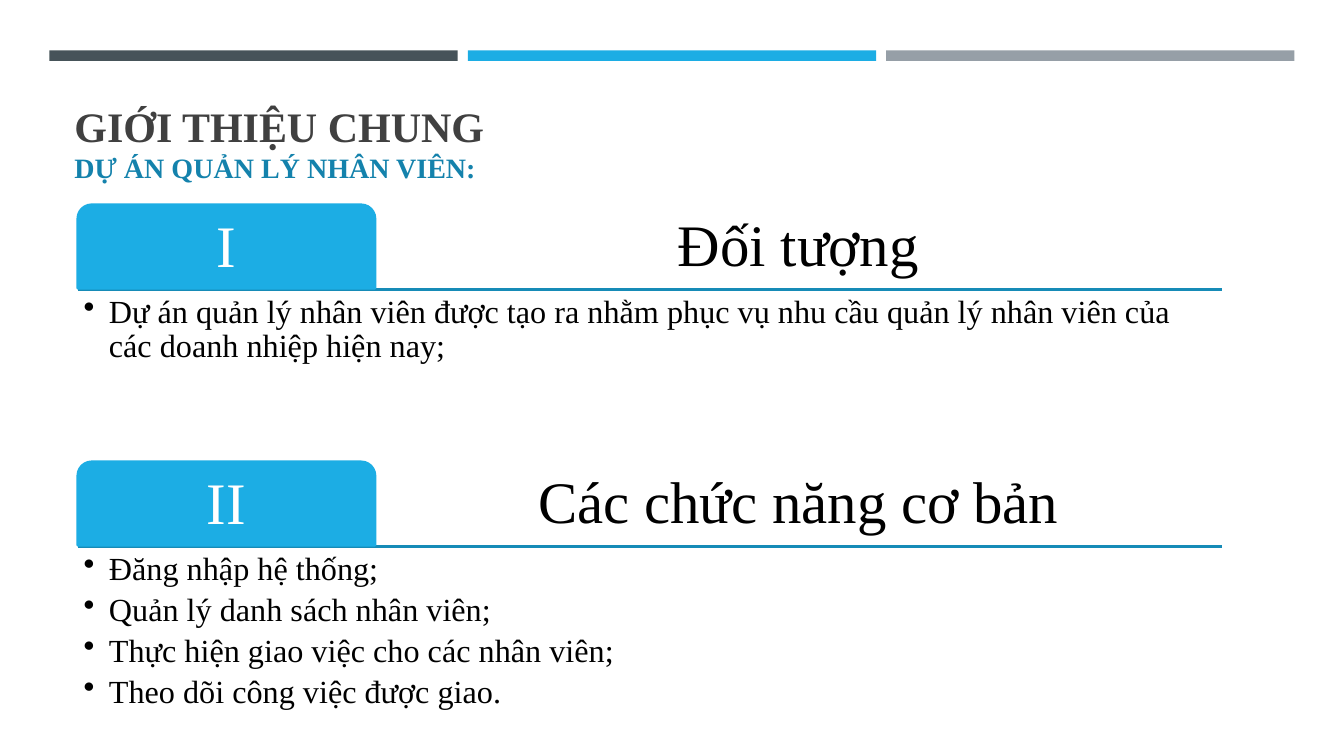
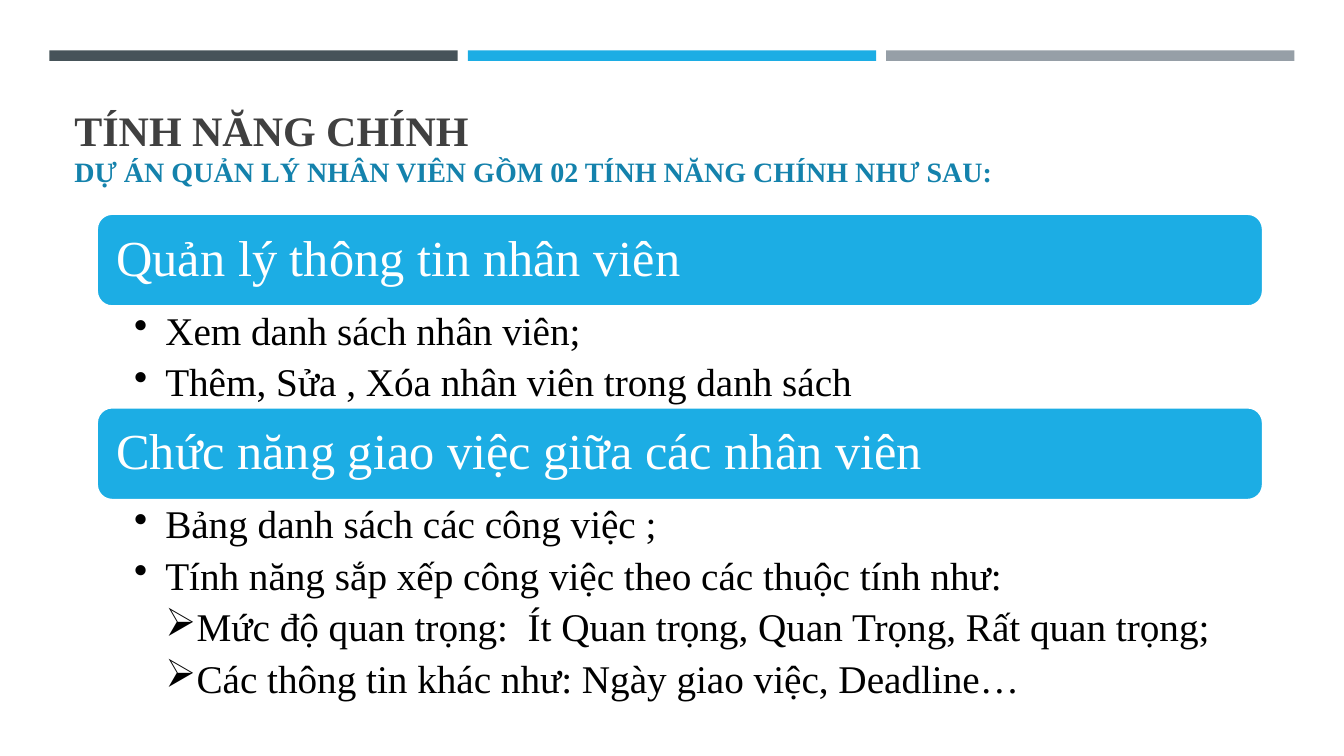
"""Build two slides that introduce an employee management project."""
from dataclasses import dataclass

from lxml import etree
from pptx import Presentation
from pptx.dml.color import RGBColor
from pptx.enum.shapes import MSO_CONNECTOR, MSO_SHAPE
from pptx.enum.text import MSO_ANCHOR, PP_ALIGN
from pptx.oxml.ns import qn
from pptx.presentation import Presentation as Deck
from pptx.shapes.autoshape import Shape
from pptx.slide import Slide
from pptx.util import Inches, Pt

RECTANGLE = MSO_SHAPE.RECTANGLE
ROUNDED = MSO_SHAPE.ROUNDED_RECTANGLE
TAB = MSO_SHAPE.ROUND_2_SAME_RECTANGLE
STRAIGHT = MSO_CONNECTOR.STRAIGHT
LEFT, CENTER = PP_ALIGN.LEFT, PP_ALIGN.CENTER
TOP, MIDDLE, BOTTOM = MSO_ANCHOR.TOP, MSO_ANCHOR.MIDDLE, MSO_ANCHOR.BOTTOM

WIDTH, HEIGHT = Inches(13.33), Inches(7.5)
FONT = "Times New Roman"
LINE_WIDTH = Pt(1.75)
COLORS = {
    "slate": "465359",
    "blue": "1CADE4",
    "gray": "969FA7",
    "title": "404040",
    "subtitle": "1482AC",
    "rule": "168BB7",
    "black": "000000",
    "white": "FFFFFF",
}


@dataclass(frozen=True)
class Box:
    """Area in percent of the slide's width and height."""
    left: float
    top: float
    width: float
    height: float

    def lengths(self) -> tuple[int, int, int, int]:
        """Return left, top, width and height as slide lengths."""
        return (across(self.left), down(self.top),
                across(self.width), down(self.height))


@dataclass(frozen=True)
class Line:
    """One paragraph with its size, colour and optional bullet."""
    text: str
    size: float
    color: str = "black"
    bold: bool = False
    bullet: str = ""
    level: int = 1


@dataclass(frozen=True)
class Section:
    """A heading with the items listed below it."""
    heading: str
    items: tuple[str, ...]
    number: str = ""
    details: tuple[str, ...] = ()


OVERVIEW = (
    Section("Đối tượng", (
        "Dự án quản lý nhân viên được tạo ra nhằm phục vụ nhu cầu "
        "quản lý nhân viên của các doanh nhiệp hiện nay;",), "I"),
    Section("Các chức năng cơ bản", (
        "Đăng nhập hệ thống;",
        "Quản lý danh sách nhân viên;",
        "Thực hiện giao việc cho các nhân viên;",
        "Theo dõi công việc được giao."), "II"),
)
FEATURES = (
    Section("Quản lý thông tin nhân viên", (
        "Xem danh sách nhân viên;",
        "Thêm, Sửa , Xóa nhân viên trong danh sách")),
    Section("Chức năng giao việc giữa các nhân viên", (
        "Bảng danh sách các công việc ;",
        "Tính năng sắp xếp công việc theo các thuộc tính như:"),
        details=(
            "Mức độ quan trọng:  Ít Quan trọng, Quan Trọng, Rất quan trọng;",
            "Các thông tin khác như: Ngày giao việc, Deadline…")),
)


def across(percent: float) -> int:
    """Return a share of the slide's width."""
    return int(WIDTH * percent / 100)


def down(percent: float) -> int:
    """Return a share of the slide's height."""
    return int(HEIGHT * percent / 100)


def color(name: str) -> RGBColor:
    """Return a named colour."""
    return RGBColor.from_string(COLORS[name])


def write(shape: Shape, lines: list[Line], *, align: PP_ALIGN = LEFT,
          anchor: MSO_ANCHOR = TOP, spacing: float = 0.9, after: float = 0,
          indent: float = 0,
          insets: tuple[float, float, float, float] = (0.09,) * 4) -> None:
    """Fill a shape with formatted paragraphs."""
    frame = shape.text_frame
    frame.word_wrap = True
    frame.vertical_anchor = anchor
    (frame.margin_left, frame.margin_top,
     frame.margin_right, frame.margin_bottom) = map(Inches, insets)
    for index, line in enumerate(lines):
        paragraph = frame.add_paragraph() if index else frame.paragraphs[0]
        paragraph.alignment = align
        paragraph.line_spacing = spacing
        paragraph.space_after = Pt(after)
        run = paragraph.add_run()
        run.text = line.text
        run.font.name = FONT
        run.font.size = Pt(line.size)
        run.font.bold = line.bold
        run.font.color.rgb = color(line.color)
        if line.bullet:
            properties = paragraph._p.get_or_add_pPr()
            properties.set("marL", str(Inches(indent * line.level)))
            properties.set("indent", str(-Inches(indent)))
            etree.SubElement(properties, qn("a:buChar"), char=line.bullet)


def add_text(slide: Slide, box: Box, lines: list[Line], **layout) -> None:
    """Add a text box with formatted paragraphs."""
    write(slide.shapes.add_textbox(*box.lengths()), lines, **layout)


def add_block(slide: Slide, kind: MSO_SHAPE, box: Box, fill: str,
              outline: str = "") -> Shape:
    """Add a filled shape, outlined if a colour is given."""
    shape = slide.shapes.add_shape(kind, *box.lengths())
    shape.shadow.inherit = False
    shape.fill.solid()
    shape.fill.fore_color.rgb = color(fill)
    if outline:
        shape.line.color.rgb = color(outline)
        shape.line.width = LINE_WIDTH
    else:
        shape.line.fill.background()
    return shape


def add_rule(slide: Slide, left: float, top: float, width: float) -> None:
    """Add a horizontal line."""
    connector = slide.shapes.add_connector(
        STRAIGHT, across(left), down(top), across(left + width), down(top))
    connector.line.color.rgb = color("rule")
    connector.line.width = LINE_WIDTH
    etree.SubElement(connector._element.spPr, qn("a:effectLst"))


def start_slide(presentation: Deck, title: str, subtitle: str,
                title_height: float) -> Slide:
    """Add a blank slide with the shared bands and title."""
    slide = presentation.slides.add_slide(presentation.slide_layouts[6])
    for column, fill in enumerate(("slate", "blue", "gray")):
        add_block(slide, RECTANGLE,
                  Box(3.68 + 31.13 * column, 6.67, 30.38, 1.37), fill)
    add_text(slide, Box(4.8, 10.27, 90.45, title_height),
             [Line(title, 30, "title", bold=True),
              Line(subtitle, 20, "subtitle", bold=True)],
             anchor=BOTTOM, spacing=1, insets=(0.1, 0.05, 0.1, 0.05))
    return slide


def add_numbered_section(slide: Slide, section: Section, row: int) -> None:
    """Draw a numbered tab, its heading, a rule and the items."""
    left, width, tab_width, height = 5.78, 85.13, 22.13, 11.07
    top = 27.07 + 34 * row
    bottom = top + 11.2
    add_rule(slide, left, bottom, width)
    add_text(slide, Box(left + tab_width, top, width - tab_width, height),
             [Line(section.heading, 42)], align=CENTER, anchor=BOTTOM)
    tab = add_block(slide, TAB, Box(left, top, tab_width, height),
                    "blue", "blue")
    write(tab, [Line(section.number, 42, "white")],
          align=CENTER, anchor=MIDDLE)
    add_text(slide, Box(left, bottom, width, 22.27),
             [Line(item, 23, bullet="•") for item in section.items],
             after=4.5, indent=0.25, insets=(0.06,) * 4)


def add_feature(slide: Slide, section: Section, top: float) -> float:
    """Draw a heading bar with its list and return the list's bottom."""
    left, width, bar_height, line_height = 7.2, 86.78, 12.27, 6.67
    bar = add_block(slide, ROUNDED, Box(left, top, width, bar_height),
                    "blue", "white")
    write(bar, [Line(section.heading, 36, "white")],
          anchor=MIDDLE, insets=(0.15,) * 4)
    lines = [Line(item, 28, bullet="•") for item in section.items]
    lines += [Line(detail, 28, bullet="➢", level=2)
              for detail in section.details]
    list_height = line_height * len(lines)
    add_text(slide, Box(left, top + bar_height, width, list_height), lines,
             after=6.5, indent=0.31, insets=(0.37, 0.05, 0.28, 0.05))
    return top + bar_height + list_height


def main() -> None:
    """Build and save the presentation."""
    presentation = Presentation()
    presentation.slide_width, presentation.slide_height = WIDTH, HEIGHT

    overview = start_slide(presentation, "GIỚI THIỆU CHUNG",
                           "DỰ ÁN QUẢN LÝ NHÂN VIÊN:", 14.8)
    for row, section in enumerate(OVERVIEW):
        add_numbered_section(overview, section, row)

    features = start_slide(
        presentation, "TÍNH NĂNG CHÍNH",
        "DỰ ÁN QUẢN LÝ NHÂN VIÊN GỒM 02 TÍNH NĂNG CHÍNH NHƯ SAU:", 15.33)
    top = 28.27
    for section in FEATURES:
        top = add_feature(features, section, top)

    presentation.save("out.pptx")


if __name__ == "__main__":
    main()
